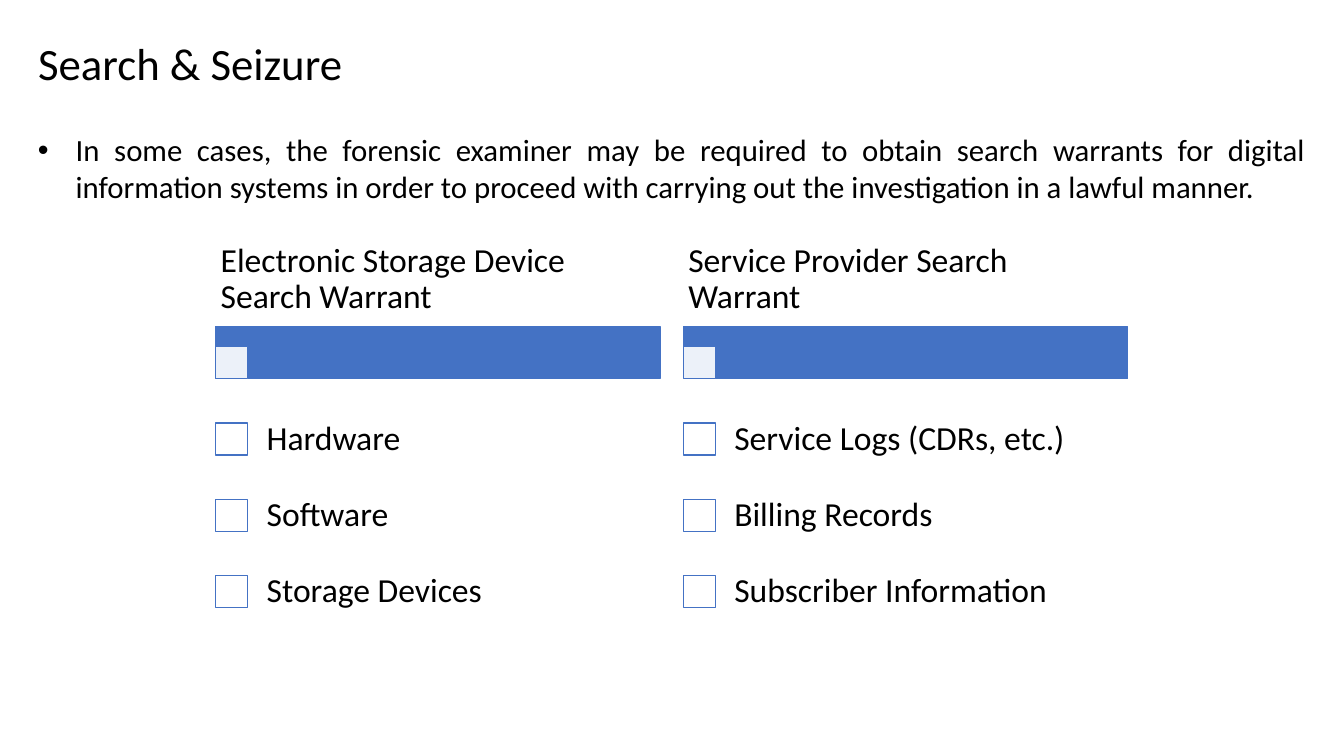
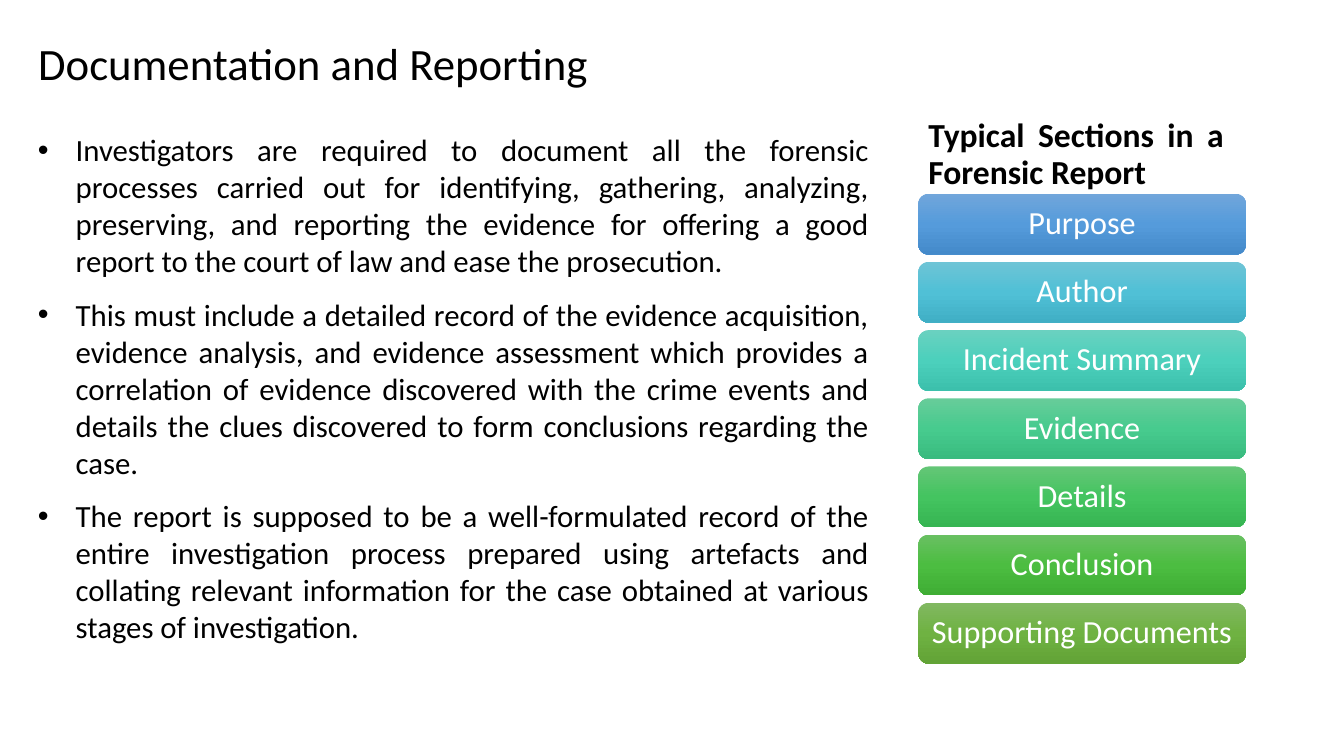
from lxml.etree import SubElement
from pptx import Presentation
from pptx.dml.color import RGBColor
from pptx.enum.shapes import MSO_SHAPE
from pptx.enum.text import MSO_ANCHOR, MSO_AUTO_SIZE, PP_ALIGN
from pptx.oxml.ns import qn
from pptx.util import Pt

FONT = "Calibri"
BLACK, WHITE, BLUE = "000000", "FFFFFF", "4472C4"
LEFT, WIDE, TOP = 20, 919.4, 90

WARRANTS = [
    ("Electronic Storage Device Search Warrant",
     ["Hardware", "Software", "Storage Devices"]),
    ("Service Provider Search Warrant",
     ["Service Logs (CDRs, etc.)", "Billing Records", "Subscriber Information"]),
]
PARTS = [
    ("Purpose", ["71A6DB", "559BDB", "448ACA"]),
    ("Author", ["6EC4D6", "50C0D6", "40AFC5"]),
    ("Incident Summary", ["6AD1C0", "4CD0BC", "3CC0AC"]),
    ("Evidence", ["67CC9A", "47CB8E", "39BB7F"]),
    ("Details", ["64C677", "44C460", "36B552"]),
    ("Conclusion", ["69C062", "4CBD41", "3FAD34"]),
    ("Supporting Documents", ["81B861", "6FB242", "62A336"]),
]
SEARCH = [
    "In some cases, the forensic examiner may be required to obtain search "
    "warrants for digital information systems in order to proceed with "
    "carrying out the investigation in a lawful manner.",
]
REPORT = [
    "Investigators are required to document all the forensic processes "
    "carried out for identifying, gathering, analyzing, preserving, and "
    "reporting the evidence for offering a good report to the court of law "
    "and ease the prosecution.",
    "This must include a detailed record of the evidence acquisition, "
    "evidence analysis, and evidence assessment which provides a correlation "
    "of evidence discovered with the crime events and details the clues "
    "discovered to form conclusions regarding the case.",
    "The report is supposed to be a well-formulated record of the entire "
    "investigation process prepared using artefacts and collating relevant "
    "information for the case obtained at various stages of investigation.",
]


def paint(color, code):
    """Set a colour from a hex string."""
    color.rgb = RGBColor.from_string(code)


def style(para, size, code=BLACK, align=PP_ALIGN.LEFT, lead=None, bold=False):
    """Format one paragraph."""
    para.alignment = align
    para.line_spacing = lead
    para.font.name, para.font.size, para.font.bold = FONT, Pt(size), bold
    paint(para.font.color, code)


def setup(frame, anchor=MSO_ANCHOR.TOP, side=7.2, edge=3.6):
    """Set wrapping, anchor and insets of a text frame."""
    frame.word_wrap = True
    frame.auto_size = MSO_AUTO_SIZE.NONE
    frame.vertical_anchor = anchor
    frame.margin_left = frame.margin_right = Pt(side)
    frame.margin_top = frame.margin_bottom = Pt(edge)


def label(slide, box, text, size=24, look=None, **frame):
    """Add a text box with one paragraph."""
    shape = slide.shapes.add_textbox(*map(Pt, box))
    setup(shape.text_frame, **frame)
    para = shape.text_frame.paragraphs[0]
    para.text = text
    style(para, size, lead=0.9, **(look or {}))
    return para


def block(slide, box, code, alpha=100):
    """Add a blue-edged rectangle."""
    shape = slide.shapes.add_shape(MSO_SHAPE.RECTANGLE, *map(Pt, box))
    shape.shadow.inherit = False
    shape.fill.solid()
    paint(shape.fill.fore_color, code)
    paint(shape.line.color, BLUE)
    shape.line.width = Pt(1)
    if alpha < 100:
        tone = shape.fill._xPr.find(".//" + qn("a:srgbClr"))
        SubElement(tone, qn("a:alpha"), val=str(alpha * 1000))


def blend(shape, codes):
    """Fill a shape with evenly spaced colours from top to bottom."""
    shape.fill.gradient()
    shape.fill.gradient_angle = 270
    stops = shape._element.spPr.find(".//" + qn("a:gsLst"))
    for stop in list(stops):
        stops.remove(stop)
    for i, code in enumerate(codes):
        place = 100000 * i // (len(codes) - 1)
        stop = SubElement(stops, qn("a:gs"), pos=str(place))
        SubElement(stop, qn("a:srgbClr"), val=code)


def start(deck, title):
    """Add a slide with its title."""
    slide = deck.slides.add_slide(deck.slide_layouts[5])
    head = slide.shapes.title
    head.left, head.top, head.width, head.height = map(Pt, (LEFT, 0, WIDE, TOP))
    head.text = title
    setup(head.text_frame, MSO_ANCHOR.MIDDLE)
    style(head.text_frame.paragraphs[0], 32)
    return slide


def bullets(slide, box, items):
    """Add a justified bullet list."""
    frame = slide.shapes.add_textbox(*map(Pt, box)).text_frame
    setup(frame)
    for i, item in enumerate(items):
        para = frame.add_paragraph() if i else frame.paragraphs[0]
        para.text = item
        style(para, 22, align=PP_ALIGN.JUSTIFY)
        para.space_after = Pt(12)
        props = para._p.get_or_add_pPr()
        props.set("marL", str(Pt(27)))
        props.set("indent", str(-Pt(27)))
        SubElement(props, qn("a:buFont"), typeface="Arial")
        SubElement(props, qn("a:buChar"), char="\u2022")


def checks(slide, box, head, items):
    """Add a heading, a bar and a column of check boxes."""
    x, y, wide, high = box
    cap, bar, tick, gap = 67, 37.4, 23, 15.8
    mid = MSO_ANCHOR.MIDDLE
    block(slide, (x, y + cap, wide, bar), BLUE)
    block(slide, (x, y + cap + bar - tick, tick, tick), WHITE, 90)
    label(slide, (x, y, wide, cap), head, anchor=mid, side=3.6, edge=2.2)
    first = y + cap + bar + gap
    row = (y + high - first) / len(items)
    for i, item in enumerate(items):
        top = first + i * row
        block(slide, (x, top + (row - tick) / 2, tick, tick), WHITE)
        label(slide, (x + tick, top, wide - tick, row), item,
              anchor=mid, side=13.5, edge=13.5)


def stack(slide, box, parts):
    """Add equal rounded bars, one below another."""
    x, y, wide, high = box
    bar = 43.4
    step = (high - bar) / (len(parts) - 1)
    for i, (text, codes) in enumerate(parts):
        spot = (x, y + i * step, wide, bar)
        shape = slide.shapes.add_shape(MSO_SHAPE.ROUNDED_RECTANGLE, *map(Pt, spot))
        shape.shadow.inherit = False
        blend(shape, codes)
        shape.line.fill.background()
        setup(shape.text_frame, MSO_ANCHOR.MIDDLE, 6, 6)
        para = shape.text_frame.paragraphs[0]
        para.text = text
        style(para, 23, WHITE, PP_ALIGN.CENTER, 0.9)


def search(deck):
    """Build the warrant slide."""
    slide = start(deck, "Search & Seizure")
    bullets(slide, (LEFT, TOP, WIDE, 385), SEARCH)
    for i, (head, items) in enumerate(WARRANTS):
        checks(slide, (154 + i * 334, 166.2, 317.5, 283.6), head, items)


def report(deck):
    """Build the report slide."""
    slide = start(deck, "Documentation and Reporting")
    bullets(slide, (LEFT, TOP, 607.7, 385), REPORT)
    stack(slide, (656, 138.4, 234, 335.6), PARTS)
    para = label(slide, (656, 81.4, 225.4, 59), "Typical Sections in a Forensic Report",
                 look={"align": PP_ALIGN.JUSTIFY, "bold": True})
    para.space_before = Pt(10)


def main():
    """Build and save the deck."""
    deck = Presentation()
    deck.slide_width, deck.slide_height = Pt(960), Pt(540)
    search(deck)
    report(deck)
    deck.save("out.pptx")


main()
